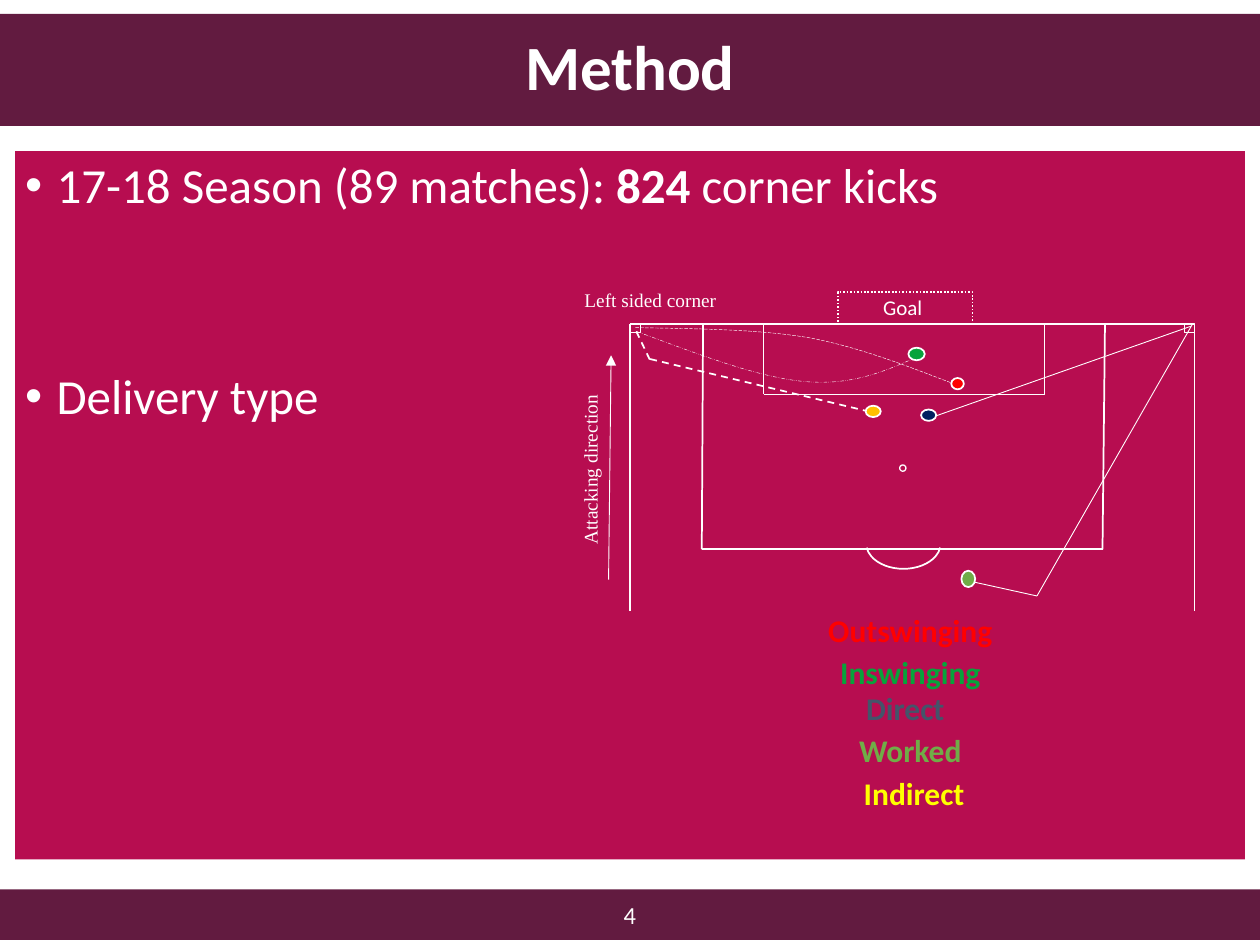
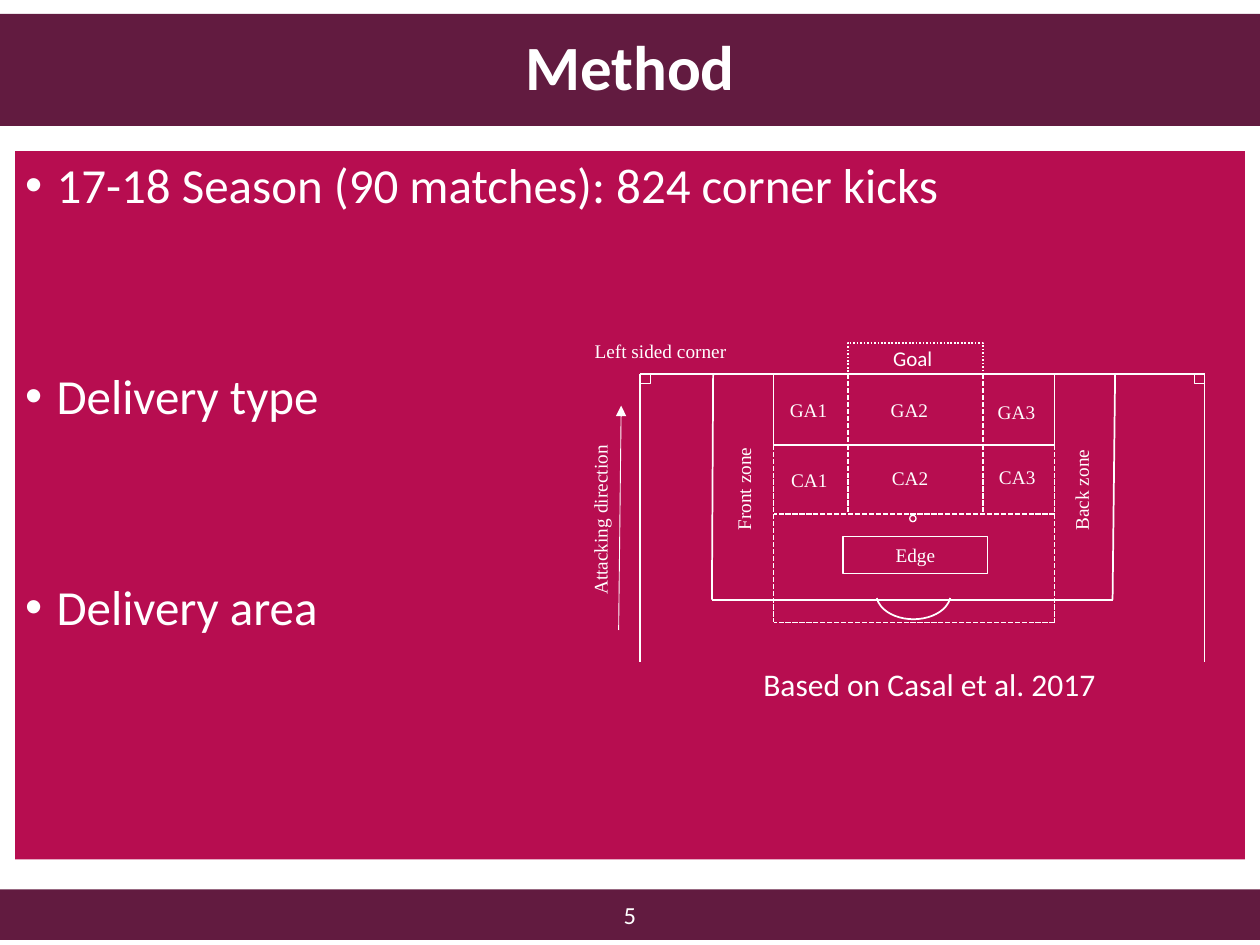
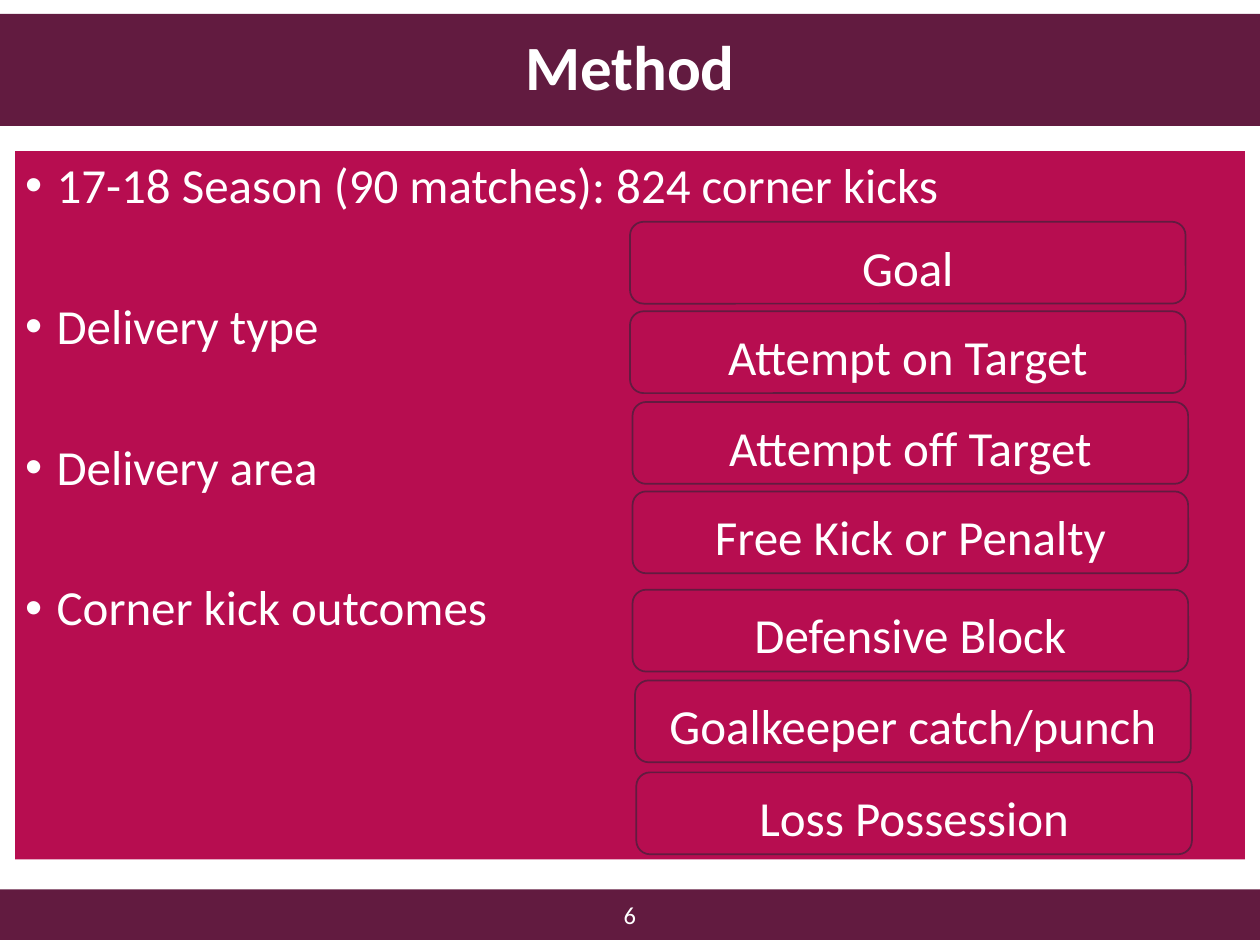
from lxml.etree import SubElement
from pptx import Presentation
from pptx.dml.color import RGBColor
from pptx.enum.dml import MSO_LINE as DASH
from pptx.enum.shapes import MSO_CONNECTOR, MSO_SHAPE as SHAPE
from pptx.enum.text import MSO_ANCHOR as ANCHOR, MSO_AUTO_SIZE, PP_ALIGN as ALIGN
from pptx.oxml.ns import qn
from pptx.util import Inches, Pt

rgb = RGBColor.from_string
PLUM, CRIMSON, WHITE = "621B40", "B70D50", "FFFFFF"
GREEN, RED, NAVY, LIME, AMBER = "07A33B", "FF0000", "002060", "70AD47", "FFC000"
SLATE, YELLOW = "44546A", "FFFF00"
SANS, SERIF = "Calibri", "Times New Roman"
ROW_PT = 40.2  # height of one row of the bullet list, with its gap


def outline(shape, width, colour=WHITE, dash=None):
    """Give a shape or connector a plain line and no shadow; width 0 hides the line."""
    if width:
        shape.line.color.rgb = rgb(colour)
        shape.line.width = Pt(width)
        if dash:
            shape.line.dash_style = dash
    else:
        shape.line.fill.background()
    SubElement(shape._element.spPr, qn("a:effectLst"))


def write(paragraph, text, size, colour=WHITE, font=SANS, bold=False):
    run = paragraph.add_run()
    run.text = text
    run.font.size, run.font.name, run.font.bold = Pt(size), font, bold
    run.font.color.rgb = rgb(colour)


prs = Presentation()
prs.slide_width, prs.slide_height = Inches(10), Inches(7.5)

# Title band, bullet panel and number band of every slide
SEASON = [("17-18 Season (90 matches): 824 corner kicks", False)]
DELIVERY_TYPE = [("Delivery type", False)]
DELIVERY_AREA = [("Delivery area", False)]
OUTCOMES = [("Corner kick outcomes", False)]
agendas = [
    (4, 3, [[("17-18 Season (89 matches): ", False), ("824", True),
             (" corner kicks", False)], DELIVERY_TYPE]),
    (5, 3, [SEASON, DELIVERY_TYPE, DELIVERY_AREA]),
    (6, 2, [SEASON, DELIVERY_TYPE, DELIVERY_AREA, OUTCOMES]),
]
for number, rows_apart, bullets in agendas:
    slide = prs.slides.add_slide(prs.slide_layouts[5])
    title = slide.shapes.title
    title.left, title.top, title.width, title.height = map(Inches, (0, 0.11, 10, 0.89))
    panel = slide.shapes.add_shape(SHAPE.RECTANGLE, *map(Inches, (0.12, 1.2, 9.76, 5.62)))
    footer = slide.shapes.add_shape(SHAPE.RECTANGLE, *map(Inches, (0, 7.06, 10, 0.4)))

    for band, fill, anchor in ((title, PLUM, ANCHOR.MIDDLE), (panel, CRIMSON, ANCHOR.TOP),
                               (footer, PLUM, ANCHOR.MIDDLE)):
        band.fill.solid()
        band.fill.fore_color.rgb = rgb(fill)
        outline(band, 0)
        frame = band.text_frame
        frame.word_wrap, frame.auto_size = True, MSO_AUTO_SIZE.NONE
        frame.vertical_anchor = anchor
        frame.margin_left = frame.margin_right = Inches(0.08)
        frame.margin_top = frame.margin_bottom = Inches(0.08 if band is not footer else 0.05)

    for band, text, size in ((title, "Method", 36), (footer, str(number), 14)):
        heading = band.text_frame.paragraphs[0]
        heading.alignment = ALIGN.CENTER
        write(heading, text, size, bold=band is title)
    title.text_frame.paragraphs[0].line_spacing = 0.9

    for index, bullet in enumerate(bullets):
        item = panel.text_frame.add_paragraph() if index else panel.text_frame.paragraphs[0]
        item.alignment, item.line_spacing = ALIGN.LEFT, 0.9
        item.space_before = Pt(10 + ROW_PT * (rows_apart - 1) if index else 0)
        properties = item._p.get_or_add_pPr()
        properties.set("marL", str(Inches(0.25)))
        properties.set("indent", str(Inches(-0.25)))
        SubElement(properties, qn("a:buFont"), typeface="Arial")
        SubElement(properties, qn("a:buChar"), char="•")
        for text, bold in bullet:
            write(item, text, 28, bold=bold)

delivery_slide, area_slide, outcome_slide = prs.slides

# Half pitch, measured in inches from the left corner flag
pitch_lines = [
    (0, 0, 4.48, 0), (4.48, 2.28, 4.48, 0), (0, 2.28, 0, 0),
    (0.57, 1.79, 3.75, 1.79), (0.57, 1.79, 0.58, 0), (3.75, 1.79, 3.77, 0),
    (1.06, 0.56, 3.29, 0.56), (1.06, 0, 1.06, 0.56), (3.29, 0, 3.29, 0.56),
]
pitch_shapes = [
    (SHAPE.RECTANGLE, 0, 0, 0.08, 0.07, 0.5, None),
    (SHAPE.RECTANGLE, 4.4, 0, 0.08, 0.07, 0.5, None),
    (SHAPE.RECTANGLE, 1.65, -0.25, 1.07, 0.25, 1, DASH.ROUND_DOT),
    (SHAPE.OVAL, 2.14, 1.12, 0.05, 0.05, 0.75, None),
    (SHAPE.ARC, 1.97, 1.45, 0.4, 0.59, 1, None),
]
# text, left, top, width, height, size, font, colour, rotation
pitch_labels = [
    ("Attacking direction", -1.04, 0.98, 1.45, 0.29, 11, SERIF, WHITE, 270),
    ("Left sided corner", -0.46, -0.33, 1.45, 0.29, 11, SERIF, WHITE, 0),
    ("Goal", 1.91, -0.28, 0.99, 0.3, 12, SANS, WHITE, 0),
]

# x1, y1, x2, y2, width, dash
delivery_lines = [
    (2.43, 0.73, 4.45, 0.02, 0.5, None),
    (4.46, 0.01, 3.23, 2.16, 0.5, None), (3.23, 2.16, 2.73, 2.05, 0.5, None),
    (0.05, 0.06, 0.16, 0.29, 1, DASH.DASH), (0.16, 0.28, 1.87, 0.69, 1, DASH.DASH),
]
delivery_legend = [
    (name, left, top, 1.73, 0.4, 18, SANS, colour, 0) for name, left, top, colour in (
        ("Outswinging", 1.36, 2.23, RED), ("Inswinging", 1.36, 2.56, GREEN),
        ("Direct", 1.32, 2.85, SLATE), ("Worked", 1.36, 3.18, LIME),
        ("Indirect", 1.39, 3.52, YELLOW))
]

zone_lines = [(x, top, x, bottom, 1, DASH.SQUARE_DOT)
              for x in (1.65, 2.72) for top, bottom in ((0, 0.56), (0.56, 1.11))]
zone_lines += [(x, 0.56, x, 1.97, 1, DASH.SQUARE_DOT) for x in (1.06, 3.29)]
zone_lines += [(3.29, y, 1.06, y, 1, DASH.SQUARE_DOT) for y in (1.11, 1.97)]
zone_labels = [
    (name, left, top, 0.55, 0.29, 11, SERIF, WHITE, 0) for name, left, top in (
        ("GA1", 1.09, 0.14), ("GA2", 1.89, 0.14), ("GA3", 2.74, 0.16),
        ("CA1", 1.1, 0.7), ("CA2", 1.9, 0.68), ("CA3", 2.75, 0.67))
]
zone_labels += [(name, left, 0.62, 1.15, 0.29, 11, SERIF, WHITE, 270)
                for name, left in (("Front zone", 0.25), ("Back zone", 2.93))]
zone_labels.append(("Based on Casal et al. 2017", 0.88, 2.26, 3.25, 0.4, 18, SANS, WHITE, 0))

DELIVERY_FLAG, AREA_FLAG = (5, 2.57), (5.08, 2.97)
diagrams = [
    (delivery_slide, DELIVERY_FLAG, delivery_lines, delivery_legend),
    (area_slide, AREA_FLAG, zone_lines, zone_labels),
]
for slide, (flag_x, flag_y), extra_lines, extra_labels in diagrams:
    attack = (-0.17, 2.03, -0.15, 0.25, 0.5, None)
    for x1, y1, x2, y2, width, dash in (
            [attack] + [ends + (1, None) for ends in pitch_lines] + extra_lines):
        line = slide.shapes.add_connector(
            MSO_CONNECTOR.STRAIGHT, Inches(flag_x + x1), Inches(flag_y + y1),
            Inches(flag_x + x2), Inches(flag_y + y2))
        outline(line, width, dash=dash)
        if (x1, y1) == attack[:2]:
            SubElement(line.get_or_add_ln(), qn("a:tailEnd"), type="triangle")

    for kind, left, top, width, height, weight, dash in pitch_shapes:
        marking = slide.shapes.add_shape(
            kind, Inches(flag_x + left), Inches(flag_y + top), Inches(width), Inches(height))
        marking.fill.background()
        outline(marking, weight, dash=dash)
        if kind == SHAPE.ARC:
            marking.rotation = 90
            marking.adjustments[0], marking.adjustments[1] = 165.656, 50.234

    for text, left, top, width, height, size, font, colour, turn in pitch_labels + extra_labels:
        label = slide.shapes.add_textbox(
            Inches(flag_x + left), Inches(flag_y + top), Inches(width), Inches(height))
        label.rotation = turn
        label.text_frame.word_wrap = True
        in_legend = extra_labels is delivery_legend and size == 18
        caption = label.text_frame.paragraphs[0]
        caption.alignment = ALIGN.CENTER if in_legend else ALIGN.LEFT
        write(caption, text, size, colour, font, bold=in_legend)

# Swinging deliveries: a start point, then Bézier points in threes
flag_x, flag_y = DELIVERY_FLAG
swings = [
    (DASH.DASH_DOT_DOT, [(0.05, 0.06), (0.54, 0.24), (1.02, 0.43), (1.4, 0.46),
                         (1.78, 0.49), (2.04, 0.37), (2.31, 0.25)]),
    (DASH.LONG_DASH, [(2.58, 0.48), (2.21, 0.34), (1.84, 0.19), (1.42, 0.11),
                      (0.99, 0.04), (0.52, 0.04), (0.04, 0.03)]),
]
for dash, points in swings:
    start, *rest = [(Inches(flag_x + x), Inches(flag_y + y)) for x, y in points]
    builder = delivery_slide.shapes.build_freeform(*start)
    builder.add_line_segments(rest, close=False)
    swing = builder.convert_to_shape()
    swing.fill.background()
    outline(swing, 0.25, dash=dash)
    route = swing._element.find(".//" + qn("a:path"))
    steps = route.findall(qn("a:lnTo"))
    for first in range(0, len(steps), 3):
        bend = SubElement(route, qn("a:cubicBezTo"))
        for step in steps[first:first + 3]:
            bend.append(step[0])
            route.remove(step)

for colour, left, top, width, height in (
        (GREEN, 2.21, 0.19, 0.13, 0.1), (RED, 2.55, 0.43, 0.1, 0.09),
        (NAVY, 2.31, 0.68, 0.12, 0.09), (LIME, 2.63, 1.96, 0.11, 0.13),
        (AMBER, 1.87, 0.65, 0.12, 0.09)):
    player = delivery_slide.shapes.add_shape(
        SHAPE.OVAL, Inches(flag_x + left), Inches(flag_y + top), Inches(width), Inches(height))
    player.fill.solid()
    player.fill.fore_color.rgb = rgb(colour)
    outline(player, 1)

# Boxed zone at the edge of the penalty area
edge = area_slide.shapes.add_shape(SHAPE.RECTANGLE, *map(Inches, (6.69, 4.26, 1.15, 0.29)))
edge.fill.background()
outline(edge, 0.75)
edge.text_frame.paragraphs[0].alignment = ALIGN.CENTER
write(edge.text_frame.paragraphs[0], "Edge", 11, font=SERIF)

# Corner kick outcomes
for outcome, left, top in (
        ("Goal", 5, 1.76), ("Attempt on Target", 5, 2.47), ("Attempt off Target", 5.02, 3.19),
        ("Free Kick or Penalty", 5.02, 3.9), ("Defensive Block", 5.02, 4.68),
        ("Goalkeeper catch/punch", 5.04, 5.4), ("Loss Possession", 5.05, 6.13)):
    card = outcome_slide.shapes.add_shape(
        SHAPE.ROUNDED_RECTANGLE, Inches(left), Inches(top), Inches(4.41), Inches(0.65))
    card.fill.background()
    outline(card, 1, PLUM)
    card.text_frame.word_wrap = True
    card.text_frame.vertical_anchor = ANCHOR.MIDDLE
    card.text_frame.margin_top, card.text_frame.margin_bottom = Inches(0.08), Inches(0.02)
    card.text_frame.paragraphs[0].alignment = ALIGN.CENTER
    write(card.text_frame.paragraphs[0], outcome, 28)

prs.save("out.pptx")
